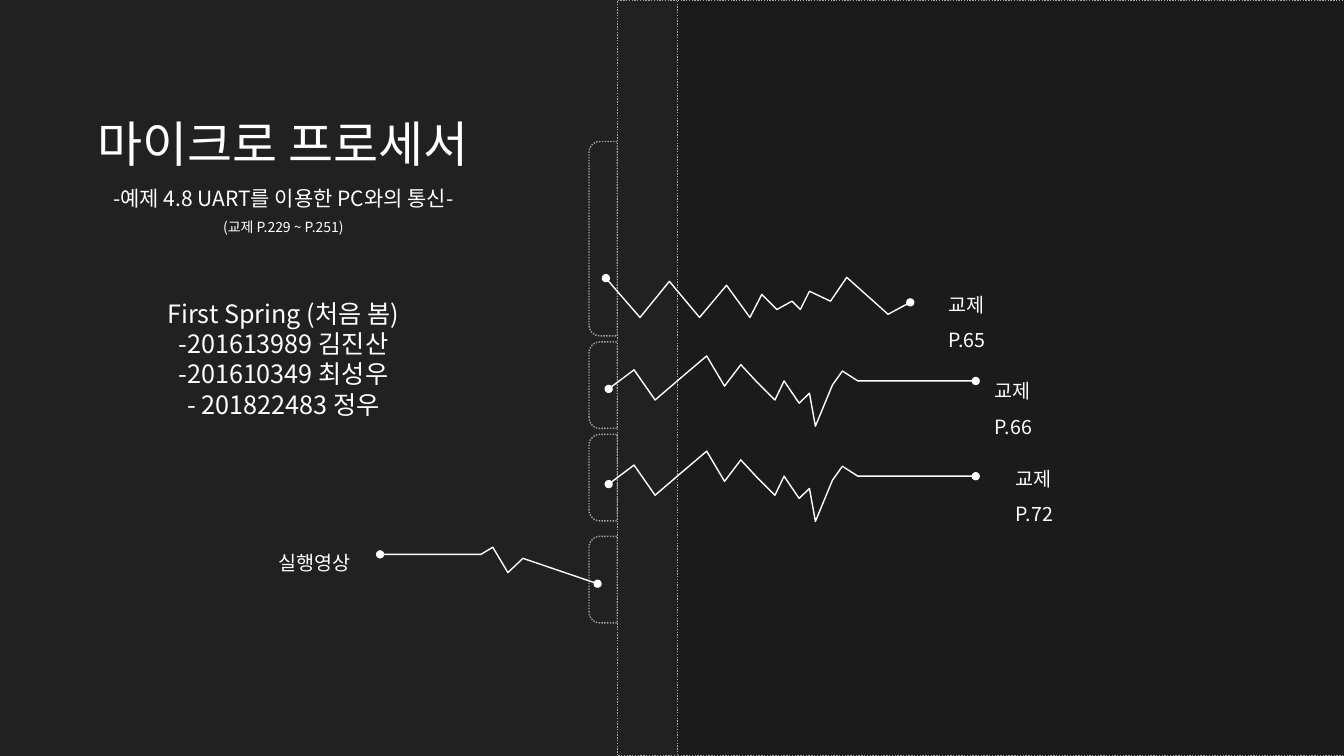
"""Build the microprocessor title slide with its jagged callout lines."""
from lxml.etree import SubElement
from pptx import Presentation
from pptx.dml.color import RGBColor
from pptx.enum.dml import MSO_LINE
from pptx.enum.shapes import MSO_SHAPE as SHAPE
from pptx.enum.text import MSO_ANCHOR, MSO_AUTO_SIZE, PP_ALIGN
from pptx.oxml.ns import qn
from pptx.util import Cm, Pt

DARK = RGBColor(0x21, 0x21, 0x21)
PANEL = RGBColor(0x1B, 0x1B, 0x1B)
GREY = RGBColor(0xA6, 0xA6, 0xA6)
WHITE = RGBColor(0xFF, 0xFF, 0xFF)
FONT = "Noto Sans CJK KR"


def write(sp, lines, align, spacing):
    tf = sp.text_frame
    tf.auto_size = MSO_AUTO_SIZE.NONE
    tf.vertical_anchor = MSO_ANCHOR.TOP
    for i, (text, size) in enumerate(lines):
        p = tf.add_paragraph() if i else tf.paragraphs[0]
        pPr = p._p.get_or_add_pPr()
        pPr.set("marL", "0")
        pPr.set("indent", "0")
        SubElement(pPr, qn("a:buNone"))
        p.alignment = align
        p.space_before = Pt(0)
        p.line_spacing = Pt(round(size * 1.2 * spacing, 1))
        r = p.add_run()
        r.text = text
        r.font.size = Pt(size)
        r.font.color.rgb = WHITE
        r.font.name = FONT
        SubElement(r._r.get_or_add_rPr(), qn("a:ea")).set("typeface", FONT)


def dotted(kind, x, y, w, h, fill=None):
    sp = s.shapes.add_shape(kind, Cm(x), Cm(y), Cm(w), Cm(h))
    sp.shadow.inherit = False
    if fill is None:
        sp.fill.background()
    else:
        sp.fill.solid()
        sp.fill.fore_color.rgb = fill
    sp.line.color.rgb = GREY
    sp.line.width = Pt(1)
    sp.line.dash_style = MSO_LINE.ROUND_DOT
    return sp


prs = Presentation()
prs.slide_width, prs.slide_height = Cm(33.87), Cm(19.05)
s = prs.slides.add_slide(prs.slide_layouts[1])
s.background.fill.solid()
s.background.fill.fore_color.rgb = DARK

title, team = s.placeholders
title.left, title.top, title.width, title.height = Cm(1.68), Cm(2), Cm(10.92), Cm(4.01)
write(title, [("마이크로 프로세서", 35),
              ("-예제 4.8 UART를 이용한 PC와의 통신-", 15),
              ("(교제 P.229 ~ P.251)", 10)], PP_ALIGN.CENTER, 1.5)
team.left, team.top, team.width, team.height = Cm(1.68), Cm(7.39), Cm(10.92), Cm(3.33)
members = ["First Spring (처음 봄)", "-201613989 김진산", "-201610349 최성우", "- 201822483 정우"]
write(team, [(m, 18) for m in members], PP_ALIGN.CENTER, 1)

dotted(SHAPE.RECTANGLE, 15.56, 0, 18.31, 19.05, DARK)
for middle, length in [(6.02, 4.9), (9.71, 2.18), (12.04, 2.18), (14.61, 2.18)]:
    tab = dotted(SHAPE.ROUND_2_SAME_RECTANGLE, 15.2 - length / 2, middle - 0.36, length, 0.71)
    tab.rotation = 270
    tab.adjustments[0] = 0.385
    tab.adjustments[1] = 0
dotted(SHAPE.RECTANGLE, 17.07, 0, 17.04, 19.05, PANEL)

top_wave = [(1527, 701), (1613, 800), (1687, 709), (1763, 800), (1831, 719),
            (1890, 800), (1920, 742), (1958, 780), (1996, 759), (2017, 780),
            (2040, 734), (2093, 759), (2134, 699), (2238, 792), (2294, 762)]
middle_wave = [(1534, 980), (1598, 932), (1651, 1008), (1715, 953), (1781, 897),
               (1826, 973), (1867, 919), (1905, 960), (1953, 1008), (1976, 960),
               (2014, 1016), (2040, 991), (2055, 1074), (2098, 970), (2123, 935),
               (2162, 960), (2459, 960)]
low_wave = [(x, y + 240) for x, y in middle_wave]
video_wave = [(958, 1397), (1212, 1397), (1242, 1379), (1280, 1443), (1318, 1407), (1506, 1471)]

for wave in [top_wave, middle_wave, low_wave, video_wave]:
    path = s.shapes.build_freeform(*wave[0], scale=Cm(0.01))
    path.add_line_segments(wave[1:], close=False)
    sp = path.convert_to_shape()
    sp.shadow.inherit = False
    sp.fill.background()
    sp.line.color.rgb = WHITE
    sp.line.width = Pt(1)
    for end in ("a:headEnd", "a:tailEnd"):
        SubElement(sp.line._get_or_add_ln(), qn(end)).set("type", "oval")

for text, x, y in [("교제 P.65", 23.65, 6.96), ("교제 P.66", 24.82, 9.14),
                   ("교제 P.72", 25.35, 11.35), ("실행영상", 6.76, 13.46)]:
    label = s.shapes.add_textbox(Cm(x), Cm(y), Cm(2.53), Cm(1.04))
    label.text_frame.word_wrap = " " in text
    if " " in text:
        label.text_frame.margin_right = Cm(0.7)
    write(label, [(text, 14)], PP_ALIGN.LEFT, 1.5)

prs.save("out.pptx")
